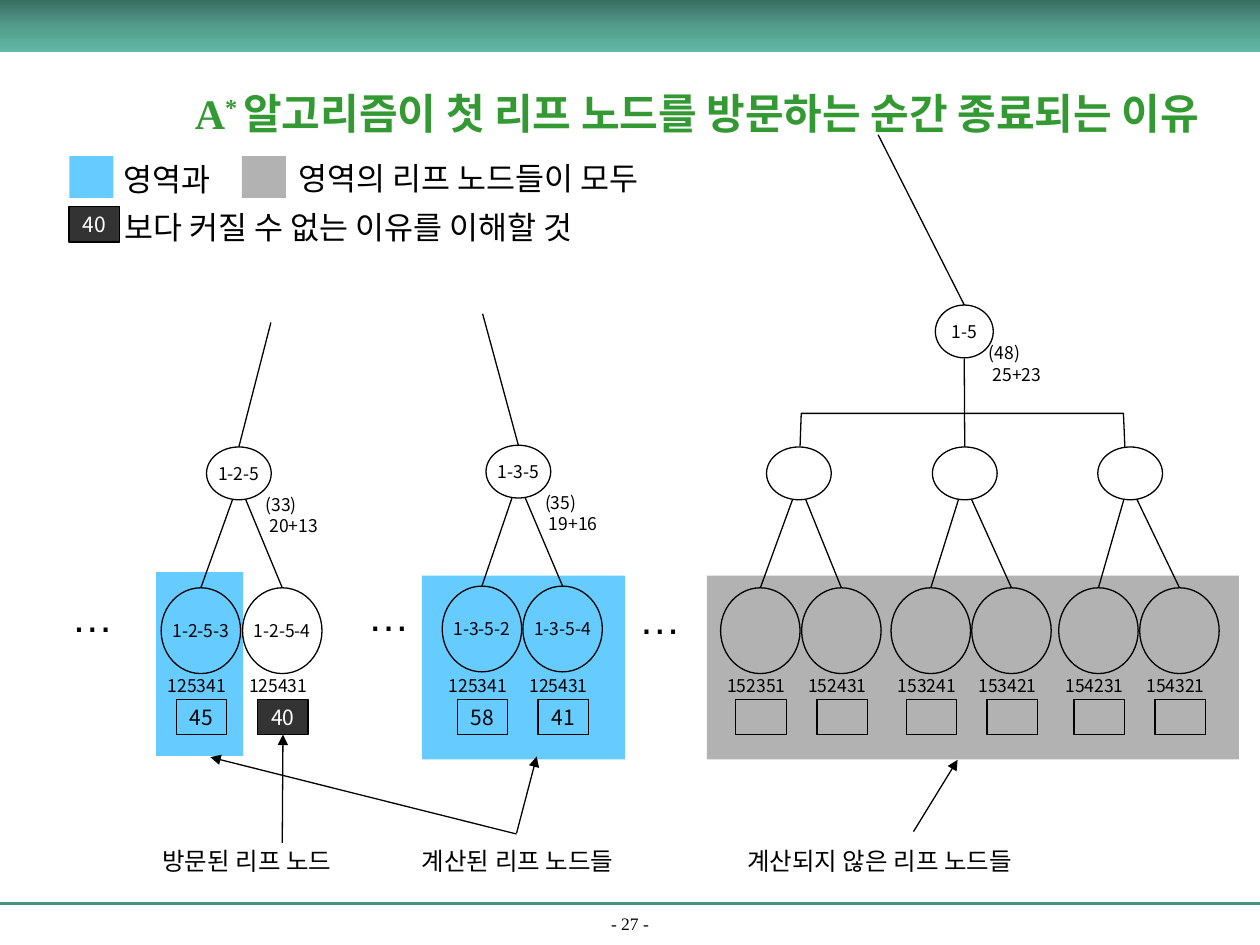
from copy import deepcopy
from dataclasses import dataclass
from typing import Optional

from pptx import Presentation
from pptx import util as u
from pptx.dml.color import RGBColor
from pptx.enum import shapes, text
from pptx.oxml import ns
from pptx.oxml.xmlchemy import OxmlElement

COLORS = {
    "black": "000000", "white": "FFFFFF", "blue": "66CCFF", "gray": "B2B2B2",
    "dark": "333333", "title": "339933", "rule": "4C9282",
    "header_top": "3A6D62", "header_middle": "539C8B", "header_bottom": "62B9A5",
}
KOREAN, LATIN, SERIF = "Noto Sans CJK KR", "Arial", "Times New Roman"
RECTANGLE, OVAL = shapes.MSO_SHAPE.RECTANGLE, shapes.MSO_SHAPE.OVAL
LEFT, CENTER = text.PP_ALIGN.LEFT, text.PP_ALIGN.CENTER
LEAF_WIDTH, LEAF_HEIGHT = 45.4, 49
BOX_WIDTH, BOX_HEIGHT, BOX_TOP = 28.8, 20.2, 399.6


@dataclass
class Leaf:
    center: float
    code: str
    name: str = ""
    value: str = ""
    visited: bool = False


@dataclass
class Subtree:
    center: float
    top: float
    leaves: tuple[Leaf, Leaf]
    name: str = ""
    cost: str = ""
    origin: Optional[tuple[float, float]] = None


SUBTREES = (
    Subtree(136.5, 255.4, (Leaf(114.8, "125341", "1-2-5-3", "45"),
                           Leaf(161.3, "125431", "1-2-5-4", "40", True)),
            "1-2-5", "(33)\n 20+13", (154.8, 184.3)),
    Subtree(296.2, 254.4, (Leaf(275.4, "125341", "1-3-5-2", "58"),
                           Leaf(321.5, "125431", "1-3-5-4", "41")),
            "1-3-5", "(35)\n 19+16", (275.8, 179.3)),
    Subtree(456.5, 255.4, (Leaf(434.5, "152351"), Leaf(480.8, "152431"))),
    Subtree(551.3, 255.4, (Leaf(531.9, "153241"), Leaf(578, "153421"))),
    Subtree(645.8, 255.4, (Leaf(627.7, "154231"), Leaf(674, "154321"))),
)


def color(name: str) -> RGBColor:
    return RGBColor.from_string(COLORS[name])


def style_run(run, *, size: float, font: str, fill: str = "black",
              bold: bool = False, raised: bool = False) -> None:
    run.font.size, run.font.bold, run.font.name = u.Pt(size), bold, font
    run.font.color.rgb = color(fill)
    properties = run._r.get_or_add_rPr()
    east_asian = OxmlElement("a:ea")
    east_asian.set("typeface", KOREAN)
    properties.find(ns.qn("a:latin")).addnext(east_asian)
    if raised:
        properties.set("baseline", "30000")


def write(shape, content: str, *, align=LEFT, anchor=text.MSO_ANCHOR.TOP,
          wrap: bool = False, **style) -> None:
    frame = shape.text_frame
    frame.word_wrap, frame.vertical_anchor = wrap, anchor
    for index, line in enumerate(content.split("\n")):
        paragraph = frame.add_paragraph() if index else frame.paragraphs[0]
        paragraph.alignment = align
        run = paragraph.add_run()
        run.text = line
        style_run(run, **style)


def add_label(slide, content: str, left: float, top: float, width: float,
              height: float, *, size: float = 10, font: str = KOREAN) -> None:
    label = slide.shapes.add_textbox(*map(u.Pt, (left, top, width, height)))
    write(label, content, size=size, font=font)
    label.text_frame.auto_size = text.MSO_AUTO_SIZE.SHAPE_TO_FIT_TEXT


def add_figure(slide, kind, left: float, top: float, width: float, height: float, *,
               fill: Optional[str] = None, outlined: bool = True, content: str = "",
               size: float = 10, font_fill: str = "black"):
    shape = slide.shapes.add_shape(kind, *map(u.Pt, (left, top, width, height)))
    finish(shape, fill, outlined)
    if content:
        write(shape, content, align=CENTER, anchor=text.MSO_ANCHOR.MIDDLE,
              size=size, font=KOREAN, fill=font_fill)
    return shape


def finish(shape, fill: Optional[str], outlined: bool) -> None:
    shape.shadow.inherit = False
    if fill:
        shape.fill.solid()
        shape.fill.fore_color.rgb = color(fill)
    else:
        shape.fill.background()
    if outlined:
        shape.line.color.rgb, shape.line.width = color("black"), u.Pt(0.75)
    else:
        shape.line.fill.background()


def add_line(slide, start: tuple[float, float], end: tuple[float, float], *,
             target=None, side: int = 0, arrow: bool = False,
             stroke: str = "black", width: float = 0.75) -> None:
    line = slide.shapes.add_connector(shapes.MSO_CONNECTOR.STRAIGHT,
                                      *map(u.Pt, (*start, *end)))
    line.line.color.rgb, line.line.width = color(stroke), u.Pt(width)
    if arrow:
        head = OxmlElement("a:tailEnd")
        head.set("type", "triangle")
        line.line._get_or_add_ln().append(head)
    line._element.spPr.append(OxmlElement("a:effectLst"))
    if target is not None:
        line.end_connect(target, side)


def add_value_box(slide, left: float, top: float, value: str, visited: bool):
    return add_figure(slide, RECTANGLE, left, top, BOX_WIDTH, BOX_HEIGHT,
                      fill="dark" if visited else None, content=value, size=12,
                      font_fill="white" if visited else "black")


def add_subtree(slide, tree: Subtree):
    parent = add_figure(slide, OVAL, tree.center - 18.5, tree.top, 37, 30.2,
                        content=tree.name)
    if tree.origin:
        add_line(slide, tree.origin, (tree.center, tree.top), target=parent)
    if tree.cost:
        add_label(slide, tree.cost, tree.center + 8.2, tree.top + 23.4, 46.8, 31)
    for leaf, offset in zip(tree.leaves, (-3.5, 3.8)):
        leaf_top = tree.top + 80.5
        circle = add_figure(slide, OVAL, leaf.center - LEAF_WIDTH / 2, leaf_top,
                            LEAF_WIDTH, LEAF_HEIGHT, content=leaf.name)
        add_line(slide, (tree.center + offset, tree.top + 29.8),
                 (leaf.center, leaf_top), target=circle)
        add_label(slide, leaf.code, leaf.center - 26, 382.3, 49, 19.4)
        box = add_value_box(slide, leaf.center + 0.4 - BOX_WIDTH / 2, BOX_TOP,
                            leaf.value, leaf.visited)
        if leaf.visited:
            add_line(slide, (leaf.center, 481.7), (leaf.center, 419.8),
                     target=box, side=2, arrow=True)
    return parent


def add_frame(slide) -> None:
    add_line(slide, (0, 516.2), (720, 516.2), stroke="rule", width=1.5)
    number = slide.shapes.add_textbox(*map(u.Pt, (0, 521.3, 720, 15.8)))
    write(number, "- 27 -", align=CENTER, anchor=text.MSO_ANCHOR.BOTTOM,
          wrap=True, size=10, font=SERIF)
    header = add_figure(slide, RECTANGLE, 0, 0, 720, 30, outlined=False)
    header.fill.gradient()
    header.fill.gradient_angle = 270
    stops = header._element.spPr.find(".//" + ns.qn("a:gsLst"))
    stops.insert(1, deepcopy(stops[0]))
    names = ("header_top", "header_middle", "header_bottom")
    for stop, name, position in zip(header.fill.gradient_stops, names, (0, 0.5, 1)):
        stop.color.rgb, stop.position = color(name), position


def add_title(slide) -> None:
    title = slide.shapes.title
    title.left, title.top, title.width, title.height = map(u.Pt, (76.3, 33.1, 643.7, 62.6))
    style = dict(size=24, font=SERIF, fill="title", bold=True)
    write(title, "A", align=CENTER, anchor=text.MSO_ANCHOR.MIDDLE, wrap=True, **style)
    title.text_frame.auto_size = text.MSO_AUTO_SIZE.NONE
    for content, raised in (("* ", True),
                            ("알고리즘이 첫 리프 노드를 방문하는 순간 종료되는 이유", False)):
        run = title.text_frame.paragraphs[0].add_run()
        run.text = content
        style_run(run, raised=raised, **style)


def main() -> None:
    presentation = Presentation()
    presentation.slide_width, presentation.slide_height = u.Pt(720), u.Pt(540)
    slide = presentation.slides.add_slide(presentation.slide_layouts[5])
    add_frame(slide)
    add_title(slide)

    # Leaf regions
    for left, top, width, fill in ((89.2, 327, 49.7, "blue"), (241.2, 329, 116, "blue"),
                                   (404, 329, 304, "gray")):
        add_figure(slide, RECTANGLE, left, top, width, 105, fill=fill, outlined=False)

    # Search tree
    parents = [add_subtree(slide, tree) for tree in SUBTREES]
    root = add_figure(slide, OVAL, 534.5, 174.3, 33.1, 30.2, fill="white", content="1-5")
    add_label(slide, "(48)\n 25+23", 558, 192.2, 46.8, 31)
    add_line(slide, (501.8, 77), (551, 174.3), target=root)
    add_line(slide, (551, 205), (551, 255), target=parents[3])
    builder = slide.shapes.build_freeform(u.Pt(457.2), u.Pt(255))
    builder.add_line_segments([(u.Pt(x), u.Pt(y)) for x, y in
                               ((457.9, 236.2), (642, 236.2), (642.8, 255.4))], close=False)
    finish(builder.convert_to_shape(), None, True)
    for left, top in ((33.8, 334), (203, 333.5), (358, 335)):
        add_label(slide, "…", left, top, 38.2, 36, size=24, font=LATIN)

    # Captions and arrows
    for content, left, width in (("방문된 리프 노드", 85.7, 121.7),
                                 ("계산된 리프 노드들", 234, 136),
                                 ("계산되지 않은 리프 노드들", 419.8, 182)):
        add_label(slide, content, left, 480.2, width, 23.8, size=14)
    for start, end in (((295.2, 476), (306.7, 432.3)), ((295.2, 476.6), (120.2, 432.7)),
                       ((522, 475.2), (547.2, 434.2))):
        add_line(slide, start, end, arrow=True)

    # Legend
    for left, fill in ((39.6, "blue"), (138.2, "gray")):
        add_figure(slide, RECTANGLE, left, 89.3, 25.2, 23.8, fill=fill, outlined=False)
    add_value_box(slide, 39.4, 118.1, "40", True)
    for content, left, top, width in (("영역과", 63.4, 87.8, 73.4),
                                      ("영역의 리프 노드들이 모두", 163.4, 87.1, 237.6),
                                      ("보다 커질 수 없는 이유를 이해할 것", 64.1, 115.2, 306.7)):
        add_label(slide, content, left, top, width, 28.8, size=18, font=LATIN)

    presentation.save("out.pptx")


if __name__ == "__main__":
    main()
